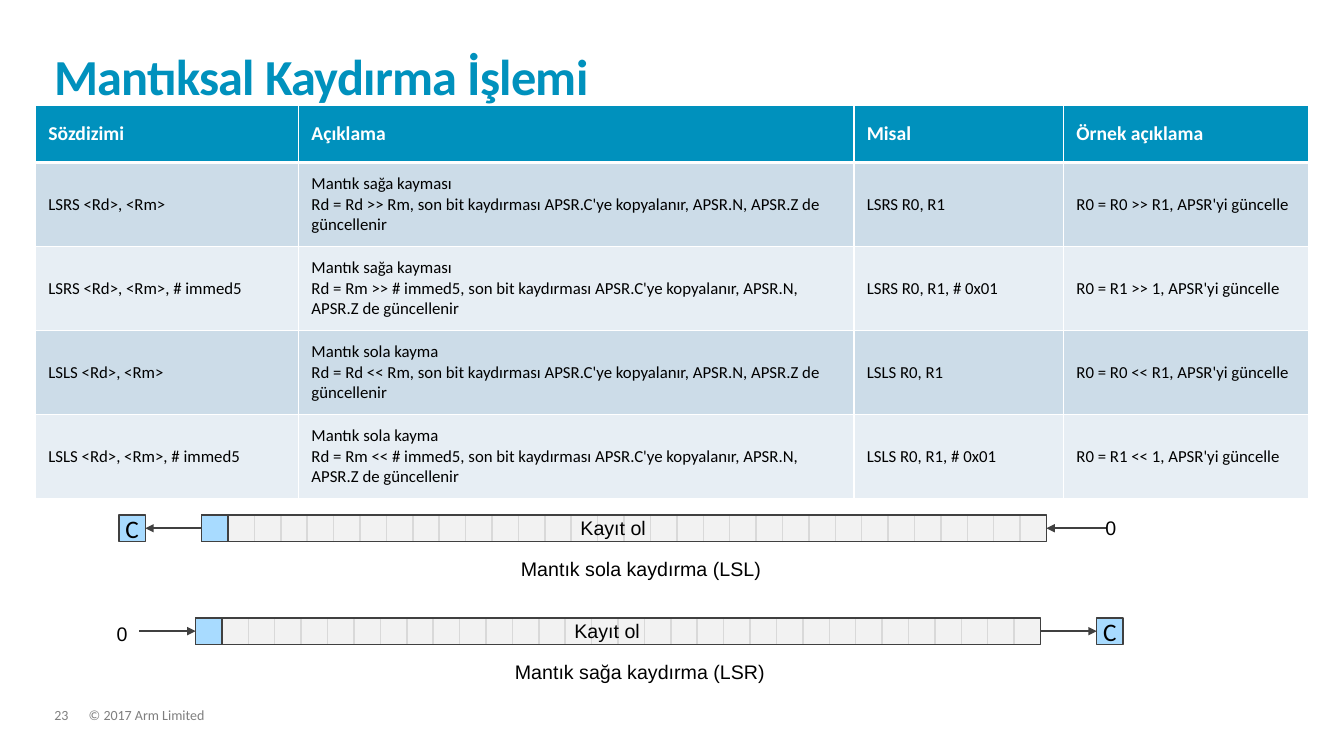
from dataclasses import dataclass

from lxml import etree
from pptx import Presentation
from pptx.dml.color import RGBColor
from pptx.enum.shapes import MSO_CONNECTOR as Connector, MSO_SHAPE as Shape
from pptx.enum.text import MSO_ANCHOR as Anchor, PP_ALIGN as Align
from pptx.oxml.ns import qn
from pptx.util import Pt


@dataclass(frozen=True)
class Theme:
    accent: str = "0091BD"
    white: str = "FFFFFF"
    black: str = "000000"
    footer: str = "7F7F7F"
    bands: tuple = ("CCDCE8", "E7EEF4")
    bit: str = "F2F2F2"
    bit_line: str = "D9D9D9"
    highlight: str = "A8DBFF"
    outline: str = "404040"
    body_font: str = "Calibri"
    diagram_font: str = "Arial"
    title_size: int = 36
    carry_size: int = 18
    label_size: int = 14
    body_size: int = 12
    footer_size: int = 10


theme = Theme()


def add_run(paragraph, text, size, color, font=theme.body_font, bold=False):
    run = paragraph.add_run()
    run.text = text
    run.font.name = font
    run.font.size = Pt(size)
    run.font.bold = bold
    run.font.color.rgb = RGBColor.from_string(color)
    return run


def add_box(left, top, width, height, fill, line):
    box = slide.shapes.add_shape(Shape.RECTANGLE, Pt(left), Pt(top), Pt(width), Pt(height))
    box.shadow.inherit = False
    if fill:
        box.fill.solid()
        box.fill.fore_color.rgb = RGBColor.from_string(fill)
    else:
        box.fill.background()
    box.line.color.rgb = RGBColor.from_string(line)
    box.line.width = Pt(1)
    return box


presentation = Presentation()
presentation.slide_width, presentation.slide_height = Pt(960), Pt(540)
slide = presentation.slides.add_slide(presentation.slide_layouts[5])

# Title
title = slide.shapes.title
title.left, title.top, title.width, title.height = Pt(38.9), Pt(23), Pt(880.6), Pt(52.6)
frame = title.text_frame
frame.margin_left = frame.margin_top = frame.margin_right = frame.margin_bottom = 0
frame.vertical_anchor = Anchor.BOTTOM
paragraph = frame.paragraphs[0]
paragraph.alignment = Align.LEFT
paragraph.line_spacing = 0.85
run = add_run(paragraph, "Mantıksal Kaydırma İşlemi", theme.title_size, theme.accent, bold=True)
run.font._element.set("spc", "-50")

# Footer
for text, left, width in (("23", 38.9, 24.5), ("© 2017 Arm Limited", 63.4, 657)):
    footer = slide.shapes.add_textbox(Pt(left), Pt(506.2), Pt(width), Pt(10.8))
    frame = footer.text_frame
    frame.word_wrap = True
    frame.margin_left = frame.margin_top = frame.margin_right = frame.margin_bottom = 0
    frame.paragraphs[0].line_spacing = 0.9
    add_run(frame.paragraphs[0], text, theme.footer_size, theme.footer)

# Instruction table
rows = [
    ("Sözdizimi", "Açıklama", "Misal", "Örnek açıklama"),
    ("LSRS <Rd>, <Rm>",
     "Mantık sağa kayması\nRd = Rd >> Rm, son bit kaydırması APSR.C'ye kopyalanır, APSR.N, APSR.Z de güncellenir",
     "LSRS R0, R1", "R0 = R0 >> R1, APSR'yi güncelle"),
    ("LSRS <Rd>, <Rm>, # immed5",
     "Mantık sağa kayması\nRd = Rm >> # immed5, son bit kaydırması APSR.C'ye kopyalanır, APSR.N, APSR.Z de güncellenir",
     "LSRS R0, R1, # 0x01", "R0 = R1 >> 1, APSR'yi güncelle"),
    ("LSLS <Rd>, <Rm>",
     "Mantık sola kayma\nRd = Rd << Rm, son bit kaydırması APSR.C'ye kopyalanır, APSR.N, APSR.Z de güncellenir",
     "LSLS R0, R1", "R0 = R0 << R1, APSR'yi güncelle"),
    ("LSLS <Rd>, <Rm>, # immed5",
     "Mantık sola kayma\nRd = Rm << # immed5, son bit kaydırması APSR.C'ye kopyalanır, APSR.N, APSR.Z de güncellenir",
     "LSLS R0, R1, # 0x01", "R0 = R1 << 1, APSR'yi güncelle"),
]
column_widths = (187.9, 396.7, 149.8, 175)
row_heights = (41, 60, 60, 60, 60)
table = slide.shapes.add_table(len(rows), len(column_widths), Pt(25.4), Pt(75),
                               Pt(sum(column_widths)), Pt(sum(row_heights))).table
table.horz_banding = False
for column, width in zip(table.columns, column_widths):
    column.width = Pt(width)
for row_index, texts in enumerate(rows):
    table.rows[row_index].height = Pt(row_heights[row_index])
    header = row_index == 0
    fill = theme.accent if header else theme.bands[(row_index - 1) % 2]
    size, color = (theme.label_size, theme.white) if header else (theme.body_size, theme.black)
    edges = {"a:lnL": 1, "a:lnR": 1, "a:lnT": 3 if row_index == 1 else 1, "a:lnB": 3 if header else 1}
    for column_index, text in enumerate(texts):
        cell = table.cell(row_index, column_index)
        cell.vertical_anchor = Anchor.MIDDLE
        cell.margin_left = cell.margin_right = Pt(9.2)
        cell.margin_top = cell.margin_bottom = Pt(3.6)
        for line_index, line in enumerate(text.split("\n")):
            frame = cell.text_frame
            paragraph = frame.add_paragraph() if line_index else frame.paragraphs[0]
            add_run(paragraph, line, size, color, bold=header)
        properties = cell._tc.get_or_add_tcPr()
        for tag, weight in edges.items():
            edge = etree.SubElement(properties, qn(tag), w=str(Pt(weight)))
            edge_fill = etree.SubElement(edge, qn("a:solidFill"))
            etree.SubElement(edge_fill, qn("a:srgbClr"), val=theme.white)
        cell.fill.solid()
        cell.fill.fore_color.rgb = RGBColor.from_string(fill)

# Shift diagrams: caption, register left, top, carry left, zero label position, zero arrow start
bit_size = 18.86
bit_count = 32
diagrams = [
    ("Mantık sola kaydırma (LSL)", 144, 367.9, 85, (782.6, 365), 789.8),
    ("Mantık sağa kaydırma (LSR)", 139.7, 441.4, 783.4, (76.3, 440.6), 99.4),
]
for caption, left, top, carry_left, zero_position, zero_arrow_x in diagrams:
    # Register bits, outline, top bit and carry
    for bit in range(1, bit_count):
        add_box(left + bit * bit_size, top, bit_size, bit_size, theme.bit, theme.bit_line)
    register = add_box(left, top, bit_count * bit_size, bit_size, None, theme.outline)
    top_bit = add_box(left, top, bit_size, bit_size, theme.highlight, theme.outline)
    carry = add_box(carry_left, top, bit_size, bit_size, theme.highlight, theme.outline)
    carry.text_frame.word_wrap = False
    carry.text_frame.vertical_anchor = Anchor.MIDDLE
    paragraph = carry.text_frame.paragraphs[0]
    paragraph.alignment = Align.CENTER
    add_run(paragraph, "C", theme.carry_size, theme.black)

    # Arrows into the carry and from the zero
    left_end, right_end = (top_bit, 1), (register, 3)
    shifts_left = carry_left < left
    if shifts_left:
        arrows = [(left_end, (carry, 3)), (None, right_end)]
    else:
        arrows = [(right_end, (carry, 1)), (None, left_end)]
    for source, target in arrows:
        middle = Pt(top + bit_size / 2)
        arrow = slide.shapes.add_connector(Connector.STRAIGHT, Pt(zero_arrow_x), middle, Pt(left), middle)
        if source:
            arrow.begin_connect(*source)
        arrow.end_connect(*target)
        arrow.line.color.rgb = RGBColor.from_string(theme.outline)
        arrow.line.width = Pt(1.5)
        etree.SubElement(arrow.line._get_or_add_ln(), qn("a:tailEnd"), type="triangle")
        etree.SubElement(arrow._element.spPr, qn("a:effectLst"))

    # Labels
    labels = [
        ("Kayıt ol", left + 263.5, top - 2.9, 99),
        (caption, left + 221, top + 26.3, 226.8),
        ("0", *zero_position, 34.8),
    ]
    for text, label_left, label_top, width in labels:
        label = slide.shapes.add_textbox(Pt(label_left), Pt(label_top), Pt(width), Pt(24.2))
        label.text_frame.word_wrap = True
        add_run(label.text_frame.paragraphs[0], text, theme.label_size, theme.black, theme.diagram_font)

presentation.save("out.pptx")
